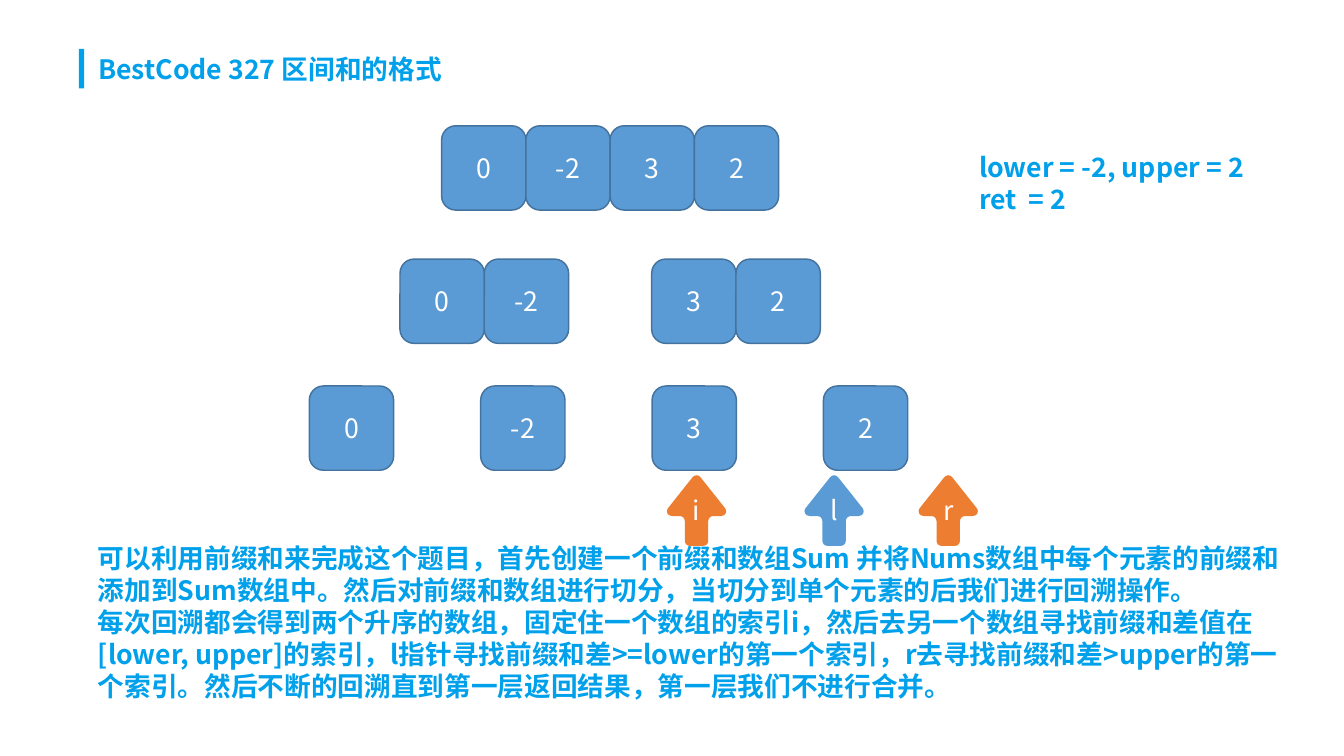
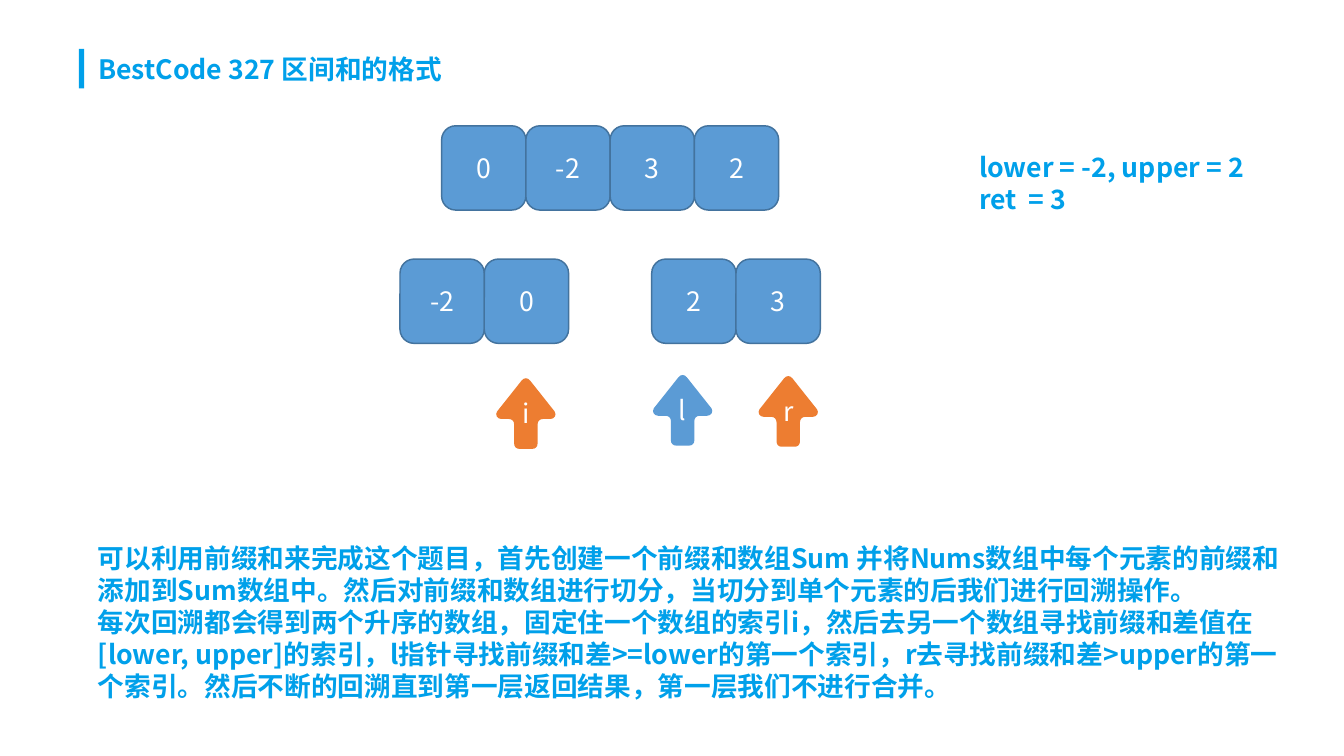
"""Build two slides that trace the prefix-sum merge for a range-sum problem."""
from lxml.etree import SubElement
from pptx import Presentation
from pptx.dml.color import RGBColor
from pptx.enum.shapes import MSO_SHAPE
from pptx.enum.text import MSO_ANCHOR, PP_ALIGN
from pptx.oxml.ns import qn
from pptx.util import Inches, Pt

TITLE = "BestCode 327 区间和的格式"
EXPLANATION = [
    "可以利用前缀和来完成这个题目，首先创建一个前缀和数组Sum 并将Nums数组中每个元素的前缀和添加到Sum数组中。"
    "然后对前缀和数组进行切分，当切分到单个元素的后我们进行回溯操作。",
    "每次回溯都会得到两个升序的数组，固定住一个数组的索引i，然后去另一个数组寻找前缀和差值在[lower, upper]的索引，"
    "l指针寻找前缀和差>=lower的第一个索引，r去寻找前缀和差>upper的第一个索引。"
    "然后不断的回溯直到第一层返回结果，第一层我们不进行合并。",
]
WHOLE, HALVES, SINGLES = (4.14, 1.18, 0), (3.75, 2.43, 2.36), (2.9, 3.62, (7.72 - 2.9) / 3)
STEPS = [
    {
        "result": "ret  = 2",
        "rows": [
            (WHOLE, [["0", "-2", "3", "2"]]),
            (HALVES, [["0", "-2"], ["3", "2"]]),
            (SINGLES, [["0"], ["-2"], ["3"], ["2"]]),
        ],
        "pointers": [("i", 6.53, 4.45), ("l", 7.82, 4.45), ("r", 8.89, 4.45)],
    },
    {
        "result": "ret  = 3",
        "rows": [
            (WHOLE, [["0", "-2", "3", "2"]]),
            (HALVES, [["-2", "0"], ["2", "3"]]),
        ],
        "pointers": [("i", 4.93, 3.54), ("l", 6.4, 3.51), ("r", 7.39, 3.52)],
    },
]

COLORS = {"accent": "00A0EA", "cell": "5B9BD5", "edge": "43739E",
          "orange": "ED7D31", "white": "FFFFFF"}
POINTER_COLORS = {"i": "orange", "l": "cell", "r": "orange"}
FONT = {"name": "Noto Sans CJK JP", "size": Pt(18)}
HEADING = {**FONT, "bold": True}
LABEL = {**FONT, "bold": False}
CELL = 0.79

RIGHT_CORNERS = [
    [(0.06, 0.67), (0.09, 0.67), (0.11, 0.65), (0.11, 0.62)],
    [(0.11, 0.44), (0.11, 0.41), (0.13, 0.39), (0.16, 0.39)],
    [(0.23, 0.39), (0.27, 0.39), (0.29, 0.35), (0.27, 0.32)],
]
TIP = [(0.04, 0.03), (0.02, 0), (-0.02, 0), (-0.04, 0.03)]
LEFT_CORNERS = [[(-x, y) for x, y in reversed(corner)]
                for corner in reversed(RIGHT_CORNERS)]
CORNERS = [*RIGHT_CORNERS, TIP, *LEFT_CORNERS]


def color(key):
    return RGBColor.from_string(COLORS[key])


def write(frame, lines, style, ink, align=PP_ALIGN.LEFT, anchor=MSO_ANCHOR.TOP):
    frame.word_wrap = True
    frame.vertical_anchor = anchor
    for index, line in enumerate(lines):
        paragraph = frame.paragraphs[0] if index == 0 else frame.add_paragraph()
        paragraph.alignment = align
        run = paragraph.add_run()
        run.text = line
        for attribute, value in style.items():
            setattr(run.font, attribute, value)
        run.font.color.rgb = color(ink)
        SubElement(run.font._element, qn("a:ea"), typeface=style["name"])


def paint(shape, fill, edge=None):
    shape.shadow.inherit = False
    shape.fill.solid()
    shape.fill.fore_color.rgb = color(fill)
    if edge:
        shape.line.color.rgb = color(edge)
        shape.line.width = Pt(1)
    else:
        shape.line.fill.background()


def add_label(shape, label):
    write(shape.text_frame, [label], LABEL, "white", PP_ALIGN.CENTER, MSO_ANCHOR.MIDDLE)


def add_note(slide, lines, *box):
    note = slide.shapes.add_textbox(*map(Inches, box))
    write(note.text_frame, lines, HEADING, "accent")


def add_heading(slide):
    bar = slide.shapes.add_shape(
        MSO_SHAPE.RECTANGLE, *map(Inches, (0.74, 0.46, 0.05, 0.37)))
    paint(bar, "accent")
    title = slide.shapes.title
    place = {"left": 0.82, "top": 0.45, "width": 3.64, "height": 0.4}
    for attribute, value in place.items():
        setattr(title, attribute, Inches(value))
    write(title.text_frame, [TITLE], HEADING, "accent")


def add_row(slide, origin, groups):
    left, top, pitch = origin
    for group_index, group in enumerate(groups):
        for index, number in enumerate(group):
            x = left + group_index * pitch + index * CELL
            cell = slide.shapes.add_shape(
                MSO_SHAPE.ROUNDED_RECTANGLE, *map(Inches, (x, top, CELL, CELL)))
            paint(cell, "cell", "edge")
            add_label(cell, number)


def round_corners(pointer):
    outline = next(pointer._element.iter(qn("a:path")))
    segments = list(outline)
    for index in range(len(CORNERS)):
        first = 4 * index + 2
        curve = SubElement(outline, qn("a:cubicBezTo"))
        segments[first].addprevious(curve)
        for segment in segments[first:first + 3]:
            curve.append(segment[0])
            outline.remove(segment)


def add_pointer(slide, label, center, top):
    points = [(Inches(center + x), Inches(top + y)) for corner in CORNERS for x, y in corner]
    builder = slide.shapes.build_freeform(*points[-1])
    builder.add_line_segments(points, close=True)
    pointer = builder.convert_to_shape()
    round_corners(pointer)
    paint(pointer, POINTER_COLORS[label])
    add_label(pointer, label)


def main():
    deck = Presentation()
    deck.slide_width, deck.slide_height = Inches(12.6), Inches(7.09)
    for step in STEPS:
        slide = deck.slides.add_slide(deck.slide_layouts[5])
        add_heading(slide)
        add_note(slide, EXPLANATION, 0.82, 5.03, 11.28, 1.62)
        add_note(slide, ["lower = -2, upper = 2", step["result"]], 9.08, 1.37, 2.81, 0.71)
        for origin, groups in step["rows"]:
            add_row(slide, origin, groups)
        for pointer in step["pointers"]:
            add_pointer(slide, *pointer)
    deck.save("out.pptx")


if __name__ == "__main__":
    main()
